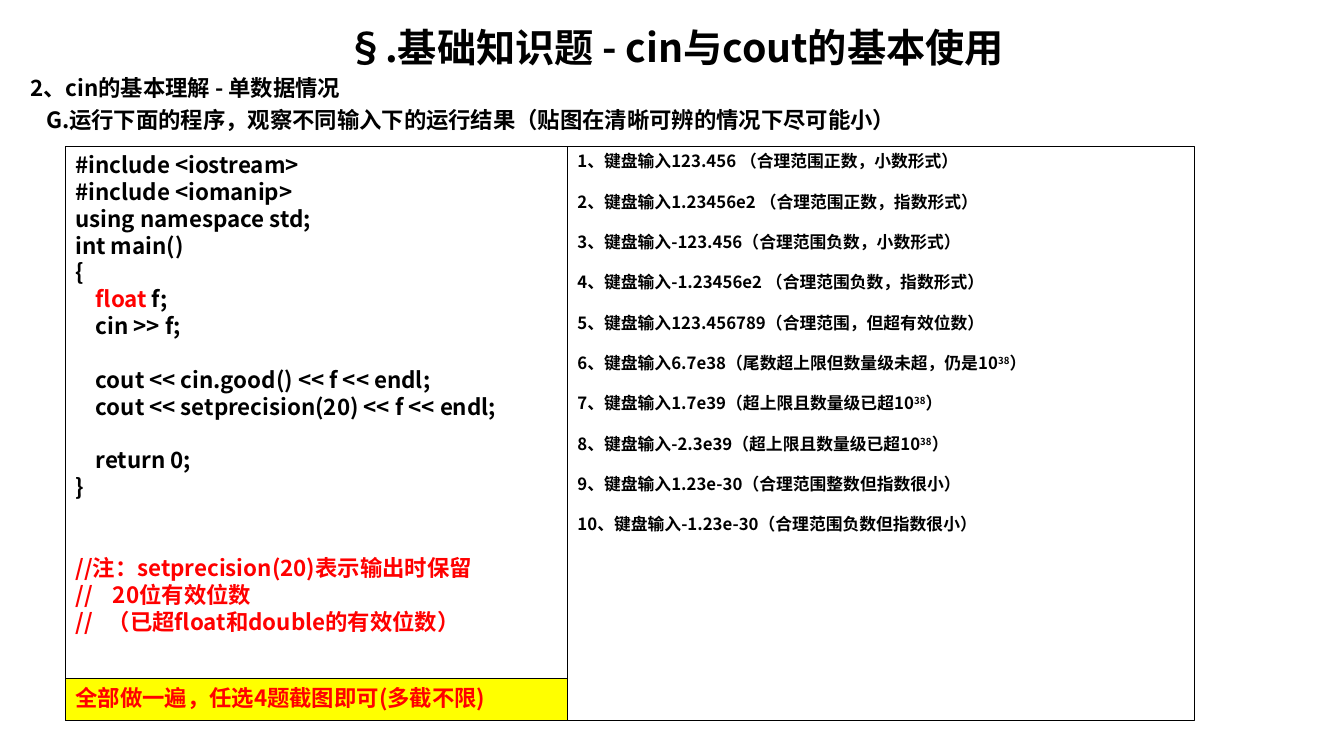
from lxml import etree
from pptx import Presentation
from pptx import util as u
from pptx.dml.color import RGBColor
from pptx.enum import shapes, text
from pptx.oxml.ns import qn

FONT = "Noto Sans CJK SC"
COLORS = {"black": "000000", "red": "FF0000", "yellow": "FFFF00"}
LINE_RATIO = 1.2
LEFT, TOP, BOTTOM = 46.8, 104.4, 514.8
CODE_WIDTH, INPUT_WIDTH, NOTE_HEIGHT = 358.56, 447.84, 29.9


def write_paragraph(paragraph, content, size, color="black", accent=None, **formats):
    formats = {"line_spacing": u.Pt(size * LINE_RATIO), "space_before": u.Pt(0)} | formats
    for name, value in formats.items():
        setattr(paragraph, name, value)
    for index, part in enumerate(content.split("|")):
        run = paragraph.add_run()
        run.text = part
        for name, value in {"name": FONT, "size": u.Pt(size), "bold": True}.items():
            setattr(run.font, name, value)
        marked = index % 2 == 1
        run_color = "red" if marked and accent == "red" else color
        run.font.color.rgb = RGBColor.from_string(COLORS[run_color])
        properties = run.font._element
        etree.SubElement(properties, qn("a:ea")).set("typeface", FONT)
        if marked and accent == "superscript":
            properties.set("baseline", "30000")


def add_box(left, top, width, height, fill=None):
    box = slide.shapes.add_shape(
        shapes.MSO_SHAPE.RECTANGLE, u.Pt(left), u.Pt(top), u.Pt(width), u.Pt(height))
    box.shadow.inherit = False
    if fill:
        box.fill.solid()
        box.fill.fore_color.rgb = RGBColor.from_string(COLORS[fill])
    else:
        box.fill.background()
    box.line.color.rgb = RGBColor.from_string(COLORS["black"])
    box.line.width = u.Pt(0.75)
    frame = box.text_frame
    for name, value in {"word_wrap": True, "vertical_anchor": text.MSO_ANCHOR.TOP}.items():
        setattr(frame, name, value)
    return frame


presentation = Presentation()
presentation.slide_width = u.Pt(960)
presentation.slide_height = u.Pt(540)
slide = presentation.slides.add_slide(presentation.slide_layouts[6])

heading = slide.shapes.add_textbox(u.Pt(14.4), u.Pt(12.96), u.Pt(935.28), u.Pt(90)).text_frame
heading.word_wrap = True
write_paragraph(heading.paragraphs[0], "§.基础知识题 - cin与cout的基本使用", 28,
                alignment=text.PP_ALIGN.CENTER)
for content, indent in [
    ("2、cin的基本理解 - 单数据情况", 0),
    ("G.运行下面的程序，观察不同输入下的运行结果（贴图在清晰可辨的情况下尽可能小）", 11.4),
]:
    paragraph = heading.add_paragraph()
    paragraph._p.get_or_add_pPr().set("marL", str(u.Pt(indent)))
    write_paragraph(paragraph, content, 16, space_before=u.Pt(3.2),
                    alignment=text.PP_ALIGN.LEFT)

code_lines = [
    ("#include <iostream>", 0, "black"),
    ("#include <iomanip>", 0, "black"),
    ("using namespace std;", 0, "black"),
    ("int main()", 0, "black"),
    ("{", 0, "black"),
    ("    |float| f;", 0, "black"),
    ("    cin >> f;", 0, "black"),
    ("    cout << cin.good() << f << endl;", 1, "black"),
    ("    cout << setprecision(20) << f << endl;", 0, "black"),
    ("    return 0;", 1, "black"),
    ("}", 0, "black"),
    ("//注：setprecision(20)表示输出时保留", 2, "red"),
    ("//    20位有效位数", 0, "red"),
    ("//   （已超float和double的有效位数）", 0, "red"),
]
code = add_box(LEFT, TOP, CODE_WIDTH, BOTTOM - TOP)
for index, (content, gap_lines, color) in enumerate(code_lines):
    paragraph = code.add_paragraph() if index else code.paragraphs[0]
    write_paragraph(paragraph, content, 16, color, "red", alignment=text.PP_ALIGN.LEFT,
                    space_before=u.Pt(gap_lines * 16 * LINE_RATIO))

input_cases = [
    "123.456 （合理范围正数，小数形式）",
    "1.23456e2 （合理范围正数，指数形式）",
    "-123.456（合理范围负数，小数形式）",
    "-1.23456e2 （合理范围负数，指数形式）",
    "123.456789（合理范围，但超有效位数）",
    "6.7e38（尾数超上限但数量级未超，仍是10|38|）",
    "1.7e39（超上限且数量级已超10|38|）",
    "-2.3e39（超上限且数量级已超10|38|）",
    "1.23e-30（合理范围整数但指数很小）",
    "-1.23e-30（合理范围负数但指数很小）",
]
inputs = add_box(LEFT + CODE_WIDTH, TOP, INPUT_WIDTH, BOTTOM - TOP)
for index, case in enumerate(input_cases):
    paragraph = inputs.add_paragraph() if index else inputs.paragraphs[0]
    write_paragraph(paragraph, f"{index + 1}、键盘输入{case}", 12, accent="superscript",
                    alignment=text.PP_ALIGN.LEFT,
                    space_before=u.Pt(12 * LINE_RATIO if index else 0))

note = add_box(LEFT, BOTTOM - NOTE_HEIGHT, CODE_WIDTH, NOTE_HEIGHT, "yellow")
write_paragraph(note.paragraphs[0], "全部做一遍，任选4题截图即可(多截不限)", 16, "red",
                alignment=text.PP_ALIGN.LEFT)

presentation.save("out.pptx")
